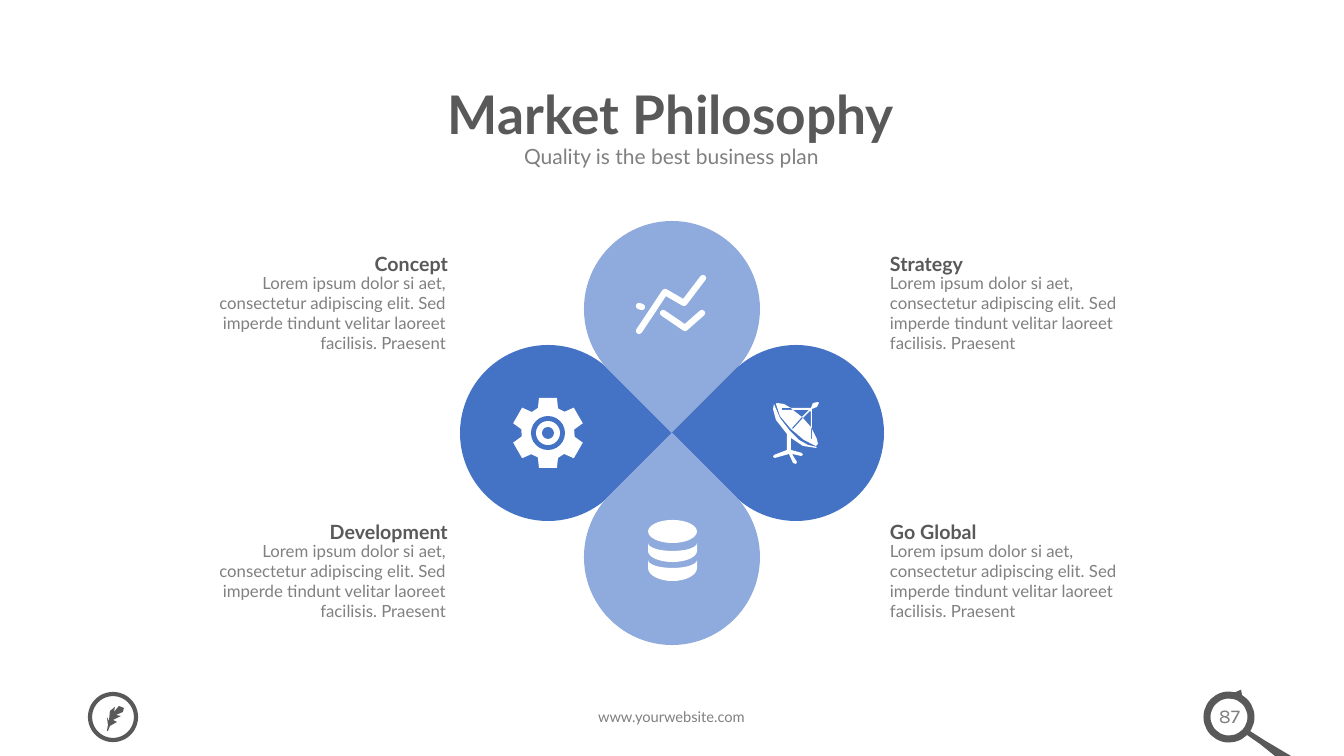
"""Build the Market Philosophy slide: four petals with icons and captions."""
from math import cos, pi, radians, sin

from lxml.etree import SubElement
from pptx import Presentation
from pptx.dml.color import RGBColor
from pptx.enum.shapes import MSO_SHAPE
from pptx.enum.text import MSO_ANCHOR, MSO_AUTO_SIZE, PP_ALIGN
from pptx.oxml.ns import qn
from pptx.util import Pt

PX = 9071.43
COLORS = {"dark": "595959", "grey": "808080", "blue": "4472C4", "pale": "8FAADC", "white": "FFFFFF"}

TITLE = "Market Philosophy"
SUBTITLE = "Quality is the best business plan"
WEBSITE = "www.yourwebsite.com"
PAGE_NUMBER = "87"
BODY = ("Lorem ipsum dolor si aet, consectetur adipiscing elit. "
        "Sed imperde tindunt velitar laoreet facilisis. Praesent")
CAPTIONS = [("Strategy", "right", 249), ("Go Global", "right", 517),
            ("Concept", "left", 249), ("Development", "left", 517)]
SIDES = {"right": (880, 890, PP_ALIGN.LEFT), "left": (249, 179, PP_ALIGN.RIGHT)}

FLOWER_CENTER, PETAL_SIZE, PETAL_REACH = (672, 433), 176, 124
PETALS = [(-1, 0, "blue"), (0, -1, "pale"), (1, 0, "blue"), (0, 1, "pale")]

GEAR_TOOTH = [(-16, -21), (-10, -25), (-9, -35), (9, -35), (10, -25)]
GEAR_RINGS = [(17, "blue"), (12, "white"), (6, "blue")]
TREND_LINES = [[(639, 331), (665, 292), (684, 303), (703, 278)],
               [(663, 313), (685, 328), (702, 313)],
               [(639, 306), (642, 307)]]
DATABASE_BANDS = [(543, 8, 551, 11), (560, 8, 568, 13)]
DISH_PARTS = [
    [(774, 404), (780, 418), (790, 431), (799, 440), (808, 445), (817, 447), (816, 448),
     (803, 446), (791, 438), (791, 450), (802, 453), (803, 455), (801, 456), (792, 454),
     (797, 462), (796, 464), (793, 463), (789, 454), (775, 458), (773, 457), (774, 455),
     (787, 450), (787, 434), (776, 420), (773, 409)],
    [(812, 439), (811, 439), (811, 427), (803, 418), (793, 429), (792, 428), (802, 417),
     (793, 410), (782, 410), (782, 408), (791, 408), (784, 404), (777, 403), (776, 404),
     (780, 416), (791, 429), (804, 440), (816, 446), (818, 444), (817, 439), (812, 429)],
    [(809, 410), (802, 417), (803, 418), (810, 411), (811, 412), (811, 427), (812, 429),
     (812, 409), (817, 407), (819, 403), (818, 402), (813, 403), (811, 408), (791, 408),
     (793, 410)],
]
FEATHER = [(108, 731), (110, 726), (117, 722), (113, 720), (121, 716), (116, 715),
           (123, 712), (124, 708), (119, 706), (114, 712), (115, 707), (110, 711),
           (109, 721), (107, 717), (108, 725), (107, 731)]
LENS_HANDLE = [(1250, 731), (1264, 740), (1291, 756), (1275, 756), (1260, 744), (1247, 735)]
RINGS = [(113, 717, 23, 3), (1229, 717, 22, 5)]


def px(value):
    return round(value * PX)


def color(name):
    return RGBColor.from_string(COLORS[name])


def paint(shape, fill=None, line=None, weight=1):
    shape.shadow.inherit = False
    if fill:
        shape.fill.solid()
        shape.fill.fore_color.rgb = color(fill)
    else:
        shape.fill.background()
    if line:
        shape.line.color.rgb = color(line)
        shape.line.width = Pt(weight)
    else:
        shape.line.fill.background()
    return shape


def add_preset(kind, left, top, width, height, **look):
    return paint(slide.shapes.add_shape(kind, px(left), px(top), px(width), px(height)), **look)


def add_disc(x, y, radius, **look):
    return add_preset(MSO_SHAPE.OVAL, x - radius, y - radius, 2 * radius, 2 * radius, **look)


def add_outline(points, closed=True, **look):
    fine = [(x * 10, y * 10) for x, y in points]
    builder = slide.shapes.build_freeform(*fine[0], scale=PX / 10)
    builder.add_line_segments(fine[1:], close=closed)
    return paint(builder.convert_to_shape(), **look)


def write(shape, text, size, tint, align=PP_ALIGN.CENTER, bold=False, font="Lato",
          anchor=MSO_ANCHOR.TOP, margins=(10, 5, 10, 5)):
    frame = shape.text_frame
    frame.text = text
    frame.word_wrap = True
    frame.auto_size = MSO_AUTO_SIZE.NONE
    frame.vertical_anchor = anchor
    (frame.margin_left, frame.margin_top,
     frame.margin_right, frame.margin_bottom) = map(px, margins)
    paragraph = frame.paragraphs[0]
    paragraph.alignment = align
    style = paragraph.runs[0].font
    style.name, style.size, style.bold = font, Pt(size), bold
    style.color.rgb = color(tint)
    return paragraph


def add_text(left, top, width, height, *args, **look):
    write(slide.shapes.add_textbox(px(left), px(top), px(width), px(height)), *args, **look)


def arc(base, depth):
    return [(672.5 - 24.5 * cos(pi * i / 16), base + depth * sin(pi * i / 16)) for i in range(17)]


def add_gear(x, y):
    teeth = []
    for angle in map(radians, range(0, 360, 60)):
        teeth += [(x + u * cos(angle) - v * sin(angle), y + u * sin(angle) + v * cos(angle))
                  for u, v in GEAR_TOOTH]
    add_outline(teeth, fill="white")
    for radius, tint in GEAR_RINGS:
        add_disc(x, y, radius, fill=tint)


presentation = Presentation()
presentation.slide_width, presentation.slide_height = px(1344), px(756)
slide = presentation.slides.add_slide(presentation.slide_layouts[5])

title = slide.shapes.title
title.left, title.top, title.width, title.height = map(px, (167, 76, 1008, 83))
write(title, TITLE, 38, "dark", bold=True, anchor=MSO_ANCHOR.MIDDLE).line_spacing = 0.9
add_text(269, 137, 805, 39, SUBTITLE, 15, "grey", margins=(13, 7, 13, 7))

for heading, side, top in CAPTIONS:
    heading_left, body_left, align = SIDES[side]
    add_text(heading_left, top, 209, 30, heading, 14, "dark", align=align, bold=True,
             anchor=MSO_ANCHOR.MIDDLE)
    add_text(body_left, top + 30, 277, 68, BODY, 12, "grey", align=align,
             anchor=MSO_ANCHOR.MIDDLE, margins=(0, 5, 10, 5))

for index, (dx, dy, tint) in enumerate(PETALS):
    petal = add_preset(MSO_SHAPE.TEAR, FLOWER_CENTER[0] + dx * PETAL_REACH - PETAL_SIZE / 2,
                       FLOWER_CENTER[1] + dy * PETAL_REACH - PETAL_SIZE / 2,
                       PETAL_SIZE, PETAL_SIZE, fill=tint)
    petal.rotation = 45 + 90 * index

add_gear(FLOWER_CENTER[0] - PETAL_REACH, FLOWER_CENTER[1])
for points in TREND_LINES:
    trend = add_outline(points, closed=False, line="white", weight=4.5)
    outline = trend.line._get_or_add_ln()
    outline.set("cap", "rnd")
    SubElement(outline, qn("a:round"))
for points in DISH_PARTS:
    add_outline(points, fill="white")
add_preset(MSO_SHAPE.OVAL, 648, 520, 49, 23, fill="white")
for upper, upper_depth, lower, lower_depth in DATABASE_BANDS:
    add_outline(arc(upper, upper_depth) + arc(lower, lower_depth)[::-1], fill="white")

for x, y, radius, weight in RINGS:
    add_disc(x, y, radius, line="dark", weight=weight)
for points in (FEATHER, LENS_HANDLE):
    add_outline(points, fill="dark")
lens_tip = add_preset(MSO_SHAPE.RIGHT_ARROW, 1233, 689, 11, 11, fill="dark")
lens_tip.rotation = 298.7
lens_tip.adjustments[0], lens_tip.adjustments[1] = 0.32, 0.64
add_text(428, 703, 487, 29, WEBSITE, 10.5, "grey")
add_text(1199, 699, 61, 34, PAGE_NUMBER, 14, "grey", font="Karla")

presentation.save("out.pptx")
